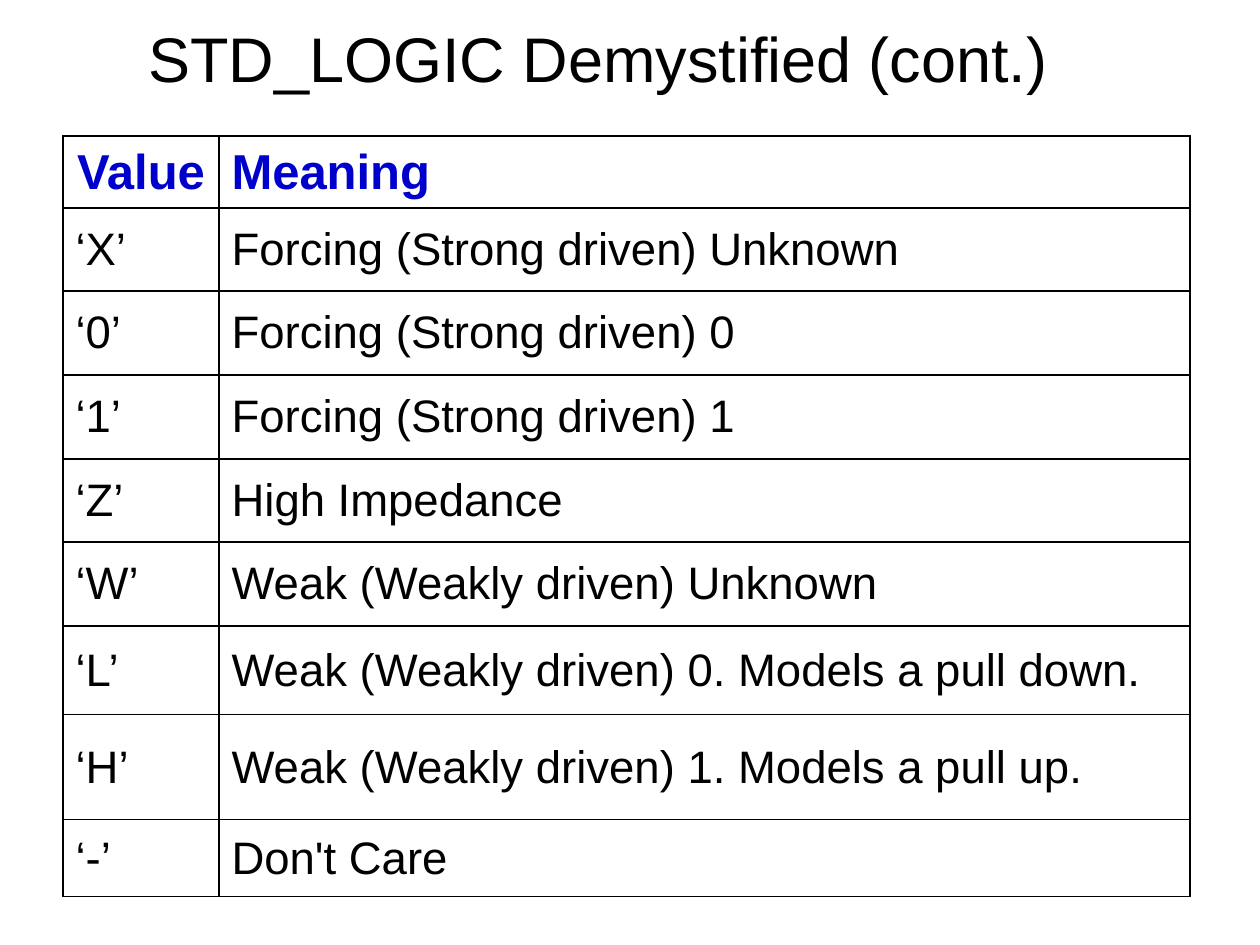
import lxml.etree
import pptx
import pptx.dml.color
import pptx.enum.text
import pptx.oxml.ns
import pptx.util

EMU_PER_PX = 914400 / 126
FONT = "Arial"
COLORS = {"paper": "FFFFFF", "ink": "000000", "heading": "0000CC"}
COLUMN_WIDTHS = [156, 971]
ROW_HEIGHTS = [72, 83, 84, 84, 83, 84, 89, 105, 77]
LOGIC_VALUES = [
    ("Value", "Meaning"),
    ("‘X’", "Forcing (Strong driven) Unknown"),
    ("‘0’", "Forcing (Strong driven) 0"),
    ("‘1’", "Forcing (Strong driven) 1"),
    ("‘Z’", "High Impedance"),
    ("‘W’", "Weak (Weakly driven) Unknown"),
    ("‘L’", "Weak (Weakly driven) 0. Models a pull down."),
    ("‘H’", "Weak (Weakly driven) 1. Models a pull up."),
    ("‘-’", "Don't Care"),
]


def px(length):
    return pptx.util.Emu(round(length * EMU_PER_PX))


def rgb(name):
    return pptx.dml.color.RGBColor.from_string(COLORS[name])


def write_text(frame, text, size, color, bold=False):
    frame.text = text
    font = frame.paragraphs[0].runs[0].font
    font.name = FONT
    font.size = pptx.util.Pt(size)
    font.bold = bold
    font.color.rgb = rgb(color)


def add_title(slide, text):
    title = slide.shapes.add_textbox(px(136), px(10), px(1081), px(95))
    title.text_frame.word_wrap = True
    title.text_frame.vertical_anchor = pptx.enum.text.MSO_ANCHOR.MIDDLE
    write_text(title.text_frame, text, 36, "ink")


def set_borders(cell):
    properties = cell._tc.get_or_add_tcPr()
    qn = pptx.oxml.ns.qn
    for side in ("a:lnL", "a:lnR", "a:lnT", "a:lnB"):
        border = lxml.etree.SubElement(properties, qn(side), w=str(pptx.util.Pt(0.75)))
        fill = lxml.etree.SubElement(border, qn("a:solidFill"))
        lxml.etree.SubElement(fill, qn("a:srgbClr"), val=COLORS["ink"])


def fill_cell(cell, text, is_heading):
    set_borders(cell)
    cell.fill.solid()
    cell.fill.fore_color.rgb = rgb("paper")
    cell.vertical_anchor = pptx.enum.text.MSO_ANCHOR.MIDDLE
    if is_heading:
        write_text(cell.text_frame, text, 28, "heading", bold=True)
    else:
        write_text(cell.text_frame, text, 26, "ink")


def add_value_table(slide):
    table = slide.shapes.add_table(
        len(ROW_HEIGHTS), len(COLUMN_WIDTHS), px(63), px(136),
        px(sum(COLUMN_WIDTHS)), px(sum(ROW_HEIGHTS)),
    ).table
    table.horz_banding = False
    for column, width in zip(table.columns, COLUMN_WIDTHS):
        column.width = px(width)
    for row, height in zip(table.rows, ROW_HEIGHTS):
        row.height = px(height)
    for row_index, entries in enumerate(LOGIC_VALUES):
        for column_index, text in enumerate(entries):
            fill_cell(table.cell(row_index, column_index), text, row_index == 0)
    value_heading = table.cell(0, 0).text_frame.paragraphs[0]
    value_heading.alignment = pptx.enum.text.PP_ALIGN.CENTER


def main():
    deck = pptx.Presentation()
    deck.slide_width = px(1260)
    deck.slide_height = px(945)
    slide = deck.slides.add_slide(deck.slide_layouts[6])
    add_title(slide, "STD_LOGIC Demystified (cont.)")
    add_value_table(slide)
    deck.save("out.pptx")


if __name__ == "__main__":
    main()
